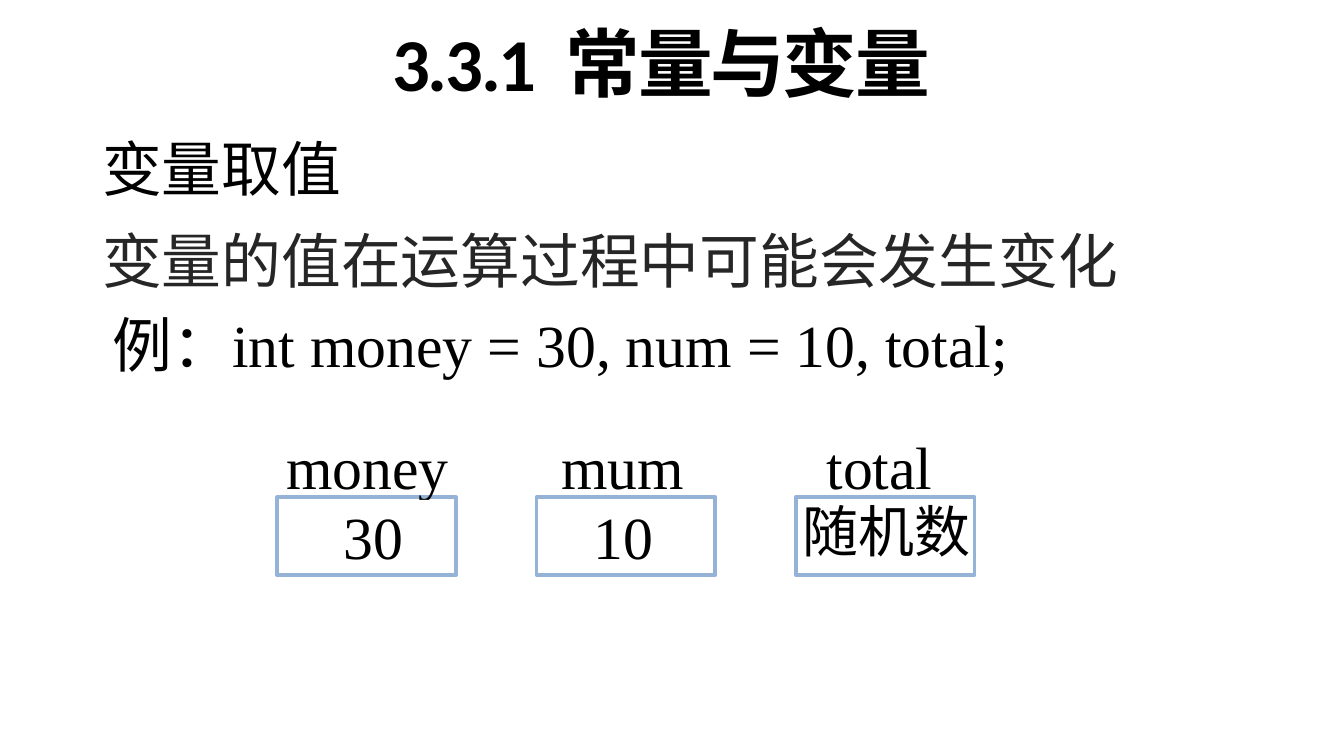
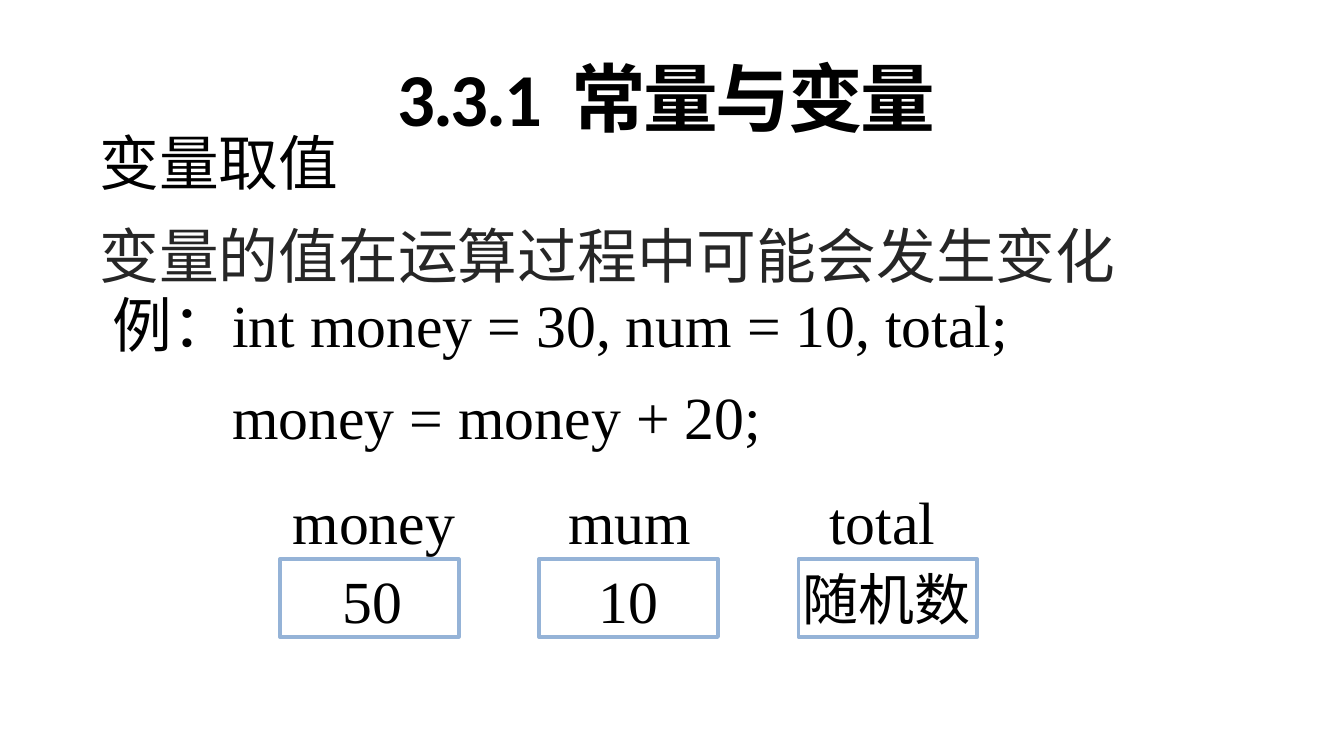
from pptx import Presentation
from pptx.dml.color import RGBColor
from pptx.enum import shapes, text
from pptx.util import Cm, Pt

BLACK = RGBColor(0x00, 0x00, 0x00)
DARK_GREY = RGBColor(0x26, 0x26, 0x26)
WHITE = RGBColor(0xFF, 0xFF, 0xFF)
FRAME_BLUE = RGBColor(0x95, 0xB3, 0xD7)
HEADING_FONT = "Calibri"
CODE_FONT = "Times New Roman"

TITLE = "3.3.1  常量与变量"
BODY = [("变量取值", BLACK), ("变量的值在运算过程中可能会发生变化", DARK_GREY)]
DECLARATION = "例：int money = 30, num = 10, total;"
RANDOM = "随机数"

# Places are in centimetres. Each variable is: name, left of the name,
# width of the name, value, left of the value, width of the value.
PAGES = [
    {
        "title": (1.27, 0.38), "body": (1.68, 2.46),
        "code": (1.88, 5.79, 1.55), "lines": [(DECLARATION, 0)],
        "frames": (5.24, 9.4), "names_top": 8.0, "values_top": 9.45,
        "covered": True, "random_top": 9.27,
        "variables": [
            ("money", 5.16, 3.73, " 30", 5.36, 3.1),
            ("mum", 10.36, 2.97, "10", 10.24, 3.1),
            ("total", 15.37, 2.54, RANDOM, 14.91, 4.14),
        ],
    },
    {
        "title": (1.37, 1.04), "body": (1.63, 2.36),
        "code": (1.88, 5.41, 3.33),
        "lines": [(DECLARATION, 0), ("money = money + 20;", 2.26)],
        "frames": (5.29, 10.57), "names_top": 9.04, "values_top": 10.54,
        "covered": False, "random_top": 10.54,
        "variables": [
            ("money", 5.28, 3.73, "50", 6.22, 2.46),
            ("mum", 10.49, 2.84, "10", 11.07, 2.46),
            ("total", 15.42, 2.54, RANDOM, 14.91, 4.14),
        ],
    },
]
FRAME_PITCH, FRAME_WIDTH, FRAME_HEIGHT = 4.9, 3.38, 1.47


def add_box(owner, left, top, width, height, wrap=True):
    box = owner.shapes.add_textbox(Cm(left), Cm(top), Cm(width), Cm(height))
    box.text_frame.word_wrap = wrap
    return box


def write(para, words, size, font, color=BLACK, bold=False):
    span = para.add_run()
    span.text = words
    span.font.size = Pt(size)
    span.font.name = font
    span.font.bold = bold
    span.font.color.rgb = color
    return span


def write_lines(box, lines, font):
    """Write (words, colour, indent in cm) lines as spaced paragraphs."""
    frame = box.text_frame
    for index, (words, color, indent) in enumerate(lines):
        para = frame.add_paragraph() if index else frame.paragraphs[0]
        para.line_spacing = 0.95
        para.space_before = Pt(13)
        if indent:
            para._p.get_or_add_pPr().set("marL", str(Cm(indent)))
        write(para, words, 32, font, color)


def add_title(page, left, top):
    box = add_box(page, left, top, 22.45, 3.45)
    para = box.text_frame.paragraphs[0]
    para.alignment = text.PP_ALIGN.CENTER
    para.line_spacing = 0.9
    span = write(para, TITLE, 40, HEADING_FONT, bold=True)
    span.font._element.set("spc", "-120")


def add_frame(owner, left, top):
    frame = owner.shapes.add_shape(
        shapes.MSO_SHAPE.FLOWCHART_PROCESS,
        Cm(left), Cm(top), Cm(FRAME_WIDTH), Cm(FRAME_HEIGHT))
    frame.shadow.inherit = False
    frame.fill.background()
    frame.line.color.rgb = FRAME_BLUE
    frame.line.width = Pt(2)


def add_covered_value(owner, words, left, top, width):
    """Add a value on a white plate that hides what lies below it."""
    plate = owner.shapes.add_shape(
        shapes.MSO_SHAPE.RECTANGLE, Cm(left), Cm(top), Cm(width), Cm(1.37))
    plate.shadow.inherit = False
    plate.fill.solid()
    plate.fill.fore_color.rgb = WHITE
    plate.line.fill.background()
    frame = plate.text_frame
    frame.margin_left = frame.margin_right = 0
    frame.margin_top = frame.margin_bottom = 0
    frame.vertical_anchor = text.MSO_ANCHOR.TOP
    para = frame.paragraphs[0]
    para.alignment = text.PP_ALIGN.CENTER
    write(para, words, 32, CODE_FONT)


def add_variable(page, layout, index, variable):
    name, name_left, name_width, value, value_left, value_width = variable
    group = page.shapes.add_group_shape()
    left, top = layout["frames"]
    add_frame(group, left + index * FRAME_PITCH, top)
    label = add_box(group, name_left, layout["names_top"], name_width, 1.63, wrap=False)
    write(label.text_frame.paragraphs[0], name, 32, CODE_FONT)

    is_random = value == RANDOM
    if layout["covered"] and not is_random:
        add_covered_value(group, value, value_left, layout["values_top"], value_width)
        return
    value_top = layout["random_top"] if is_random else layout["values_top"]
    box = add_box(group, value_left, value_top, value_width, 1.55 if is_random else 1.63)
    write(box.text_frame.paragraphs[0], value, 30 if is_random else 32, CODE_FONT)


def build_page(deck, layout):
    page = deck.slides.add_slide(deck.slide_layouts[6])
    add_title(page, *layout["title"])
    body = add_box(page, *layout["body"], 22.4, 1.55)
    write_lines(body, [(words, color, 0) for words, color in BODY], HEADING_FONT)
    left, top, height = layout["code"]
    code = add_box(page, left, top, 19.51, height)
    write_lines(code, [(words, BLACK, indent) for words, indent in layout["lines"]], CODE_FONT)
    for index, variable in enumerate(layout["variables"]):
        add_variable(page, layout, index, variable)


def main():
    deck = Presentation()
    deck.slide_width, deck.slide_height = Cm(25.4), Cm(14.29)
    for layout in PAGES:
        build_page(deck, layout)
    deck.save("out.pptx")


if __name__ == "__main__":
    main()
